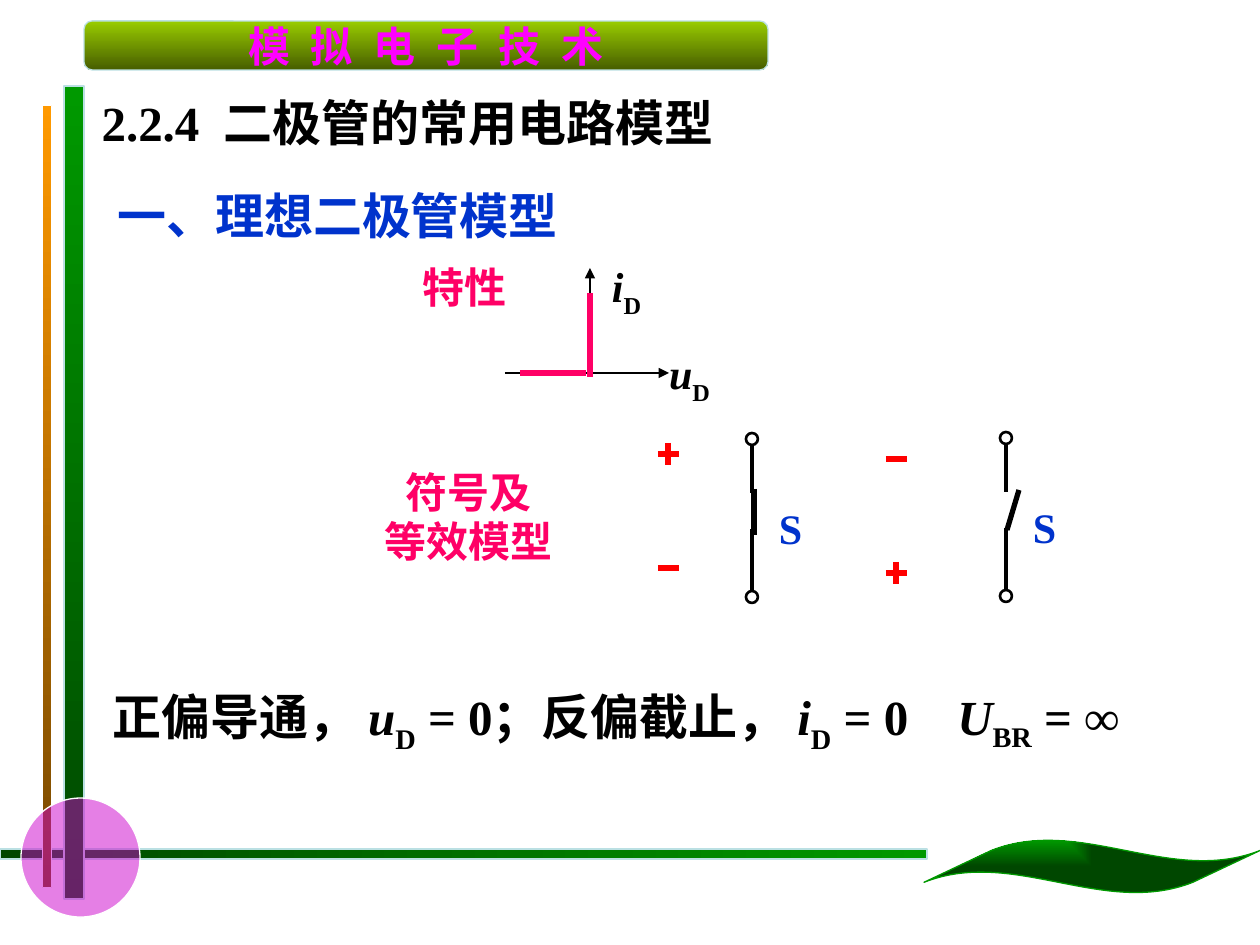
import pptx
import pptx.dml.color
import pptx.enum.dml
import pptx.enum.shapes
import pptx.enum.text
import pptx.oxml
import pptx.oxml.ns
import pptx.util

SCALE = 914400 / 126  # EMU in one px
SHAPES = pptx.enum.shapes.MSO_SHAPE
ALIGN = pptx.enum.text.PP_ALIGN
ANCHOR = pptx.enum.text.MSO_ANCHOR

BLACK, BLUE, PINK, RED = "000000", "0033CC", "FF0066", "FF0000"
GREEN, DARK_GREEN, PALE, WHITE = "009900", "004700", "BBE0E3", "FFFFFF"


def px(length):
    return pptx.util.Emu(round(length * SCALE))


def rgb(value):
    return pptx.dml.color.RGBColor.from_string(value)


def add_xml(parent, tag, **attributes):
    child = pptx.oxml.parse_xml(f"<a:{tag} {pptx.oxml.ns.nsdecls('a')}/>")
    for name, value in attributes.items():
        child.set(name, str(value))
    parent.append(child)
    return child


def add_run(paragraph, text, size=24, color=BLACK, font="Times New Roman",
            italic=False, baseline=0, spacing=0):
    run = paragraph.add_run()
    run.text = text
    run.font.name = font
    run.font.size = pptx.util.Pt(size)
    run.font.bold = True
    run.font.italic = italic
    run.font.color.rgb = rgb(color)
    properties = run.font._element
    if baseline:
        properties.set("baseline", str(baseline * 1000))
    if spacing:
        properties.set("spc", str(round(spacing * 100)))
    add_xml(properties, "ea", typeface="Noto Sans CJK SC")


class SlideBuilder:
    def __init__(self, slide, line_width=2.25):
        self.slide = slide
        self.line_width = line_width

    def shape(self, kind, x, y, w, h, line=BLACK, width=0.75):
        shape = self.slide.shapes.add_shape(kind, px(x), px(y), px(w), px(h))
        shape.shadow.inherit = False
        shape.fill.background()
        shape.line.color.rgb = rgb(line)
        shape.line.width = pptx.util.Pt(width)
        return shape

    def gradient(self, shape, start, end, angle=0):
        shape.fill.gradient()
        shape.fill.gradient_angle = angle
        for stop, color in zip(shape.fill.gradient_stops, (start, end)):
            stop.color.rgb = rgb(color)

    def line(self, x1, y1, x2, y2, color=BLACK, width=None, arrow=False):
        line = self.slide.shapes.add_connector(
            pptx.enum.shapes.MSO_CONNECTOR.STRAIGHT, px(x1), px(y1), px(x2), px(y2))
        line.line.color.rgb = rgb(color)
        line.line.width = pptx.util.Pt(width or self.line_width)
        if arrow:
            add_xml(line.line._get_or_add_ln(), "tailEnd", type="triangle")
        add_xml(line._element.spPr, "effectLst")

    def fill_text(self, box, paragraphs, align=ALIGN.LEFT, anchor=ANCHOR.MIDDLE,
                  wrap=True, leading=None):
        """Each paragraph is a list of (text, format) runs."""
        frame = box.text_frame
        frame.auto_size = pptx.enum.text.MSO_AUTO_SIZE.NONE
        frame.word_wrap = wrap
        frame.vertical_anchor = anchor
        for index, runs in enumerate(paragraphs):
            paragraph = frame.add_paragraph() if index else frame.paragraphs[0]
            paragraph.alignment = align
            if leading:
                paragraph.line_spacing = pptx.util.Pt(leading)
            for text, style in runs:
                add_run(paragraph, text, **style)

    def title(self, x, y, w, h, runs):
        title = self.slide.shapes.title
        title.left, title.top, title.width, title.height = map(px, (x, y, w, h))
        self.fill_text(title, [runs])

    def text(self, x, y, w, h, paragraphs, **layout):
        box = self.slide.shapes.add_textbox(px(x), px(y), px(w), px(h))
        self.fill_text(box, paragraphs, **layout)

    def label(self, x, y, w, runs):
        self.text(x, y, w, 63, [runs], align=ALIGN.CENTER, anchor=ANCHOR.TOP, wrap=False)

    def sign(self, x, y, plus):
        self.line(x - 10, y, x + 11, y, RED, 3)
        if plus:
            self.line(x, y - 11, x, y + 11, RED, 3)

    def switch(self, x, y, blade):
        """x is the wire, y the top; the blade is given from that point."""
        for terminal in (y, y + 158):
            self.shape(SHAPES.OVAL, x - 6, terminal, 12, 12, width=1.5)
        self.line(x, y + 12, x, y + 60)
        self.line(x, y + 96, x, y + 158)
        x1, y1, x2, y2 = blade
        self.line(x + x1, y + y1, x + x2, y + y2, width=3)
        self.label(x + 14, y + 63, 49, [("S", {"color": BLUE})])


def quantity(symbol, subscript, size=24, drop=-30):
    return [(symbol, {"size": size, "italic": True}),
            (subscript, {"size": size, "baseline": drop})]


def add_frame(page):
    # Bars, circle, course banner and leaf around the page
    bars = [
        (0, 849, 927, 10, DARK_GREEN, GREEN, 0, PALE, 0.75),
        (64, 86, 20, 813, GREEN, DARK_GREEN, 270, PALE, 0.75),
        (42, 105, 10, 783, "FF9900", "764700", 270, WHITE, 0.5),
    ]
    for x, y, w, h, start, end, angle, line, width in bars:
        bar = page.shape(SHAPES.RECTANGLE, x, y, w, h, line, width)
        page.gradient(bar, start, end, angle)

    circle = page.shape(SHAPES.OVAL, 21, 798, 119, 119, WHITE)
    circle.fill.solid()
    circle.fill.fore_color.rgb = rgb("CC00CC")
    tint = circle._element.spPr.find(".//" + pptx.oxml.ns.qn("a:srgbClr"))
    add_xml(tint, "alpha", val=50000)

    banner = page.shape(SHAPES.FLOWCHART_ALTERNATE_PROCESS, 84, 21, 684, 49, PALE)
    page.gradient(banner, "99CC00", "475E00", 270)
    course = {"color": "FF00FF", "font": "Noto Sans CJK SC", "spacing": 3.2}
    page.fill_text(banner, [[("模 拟 电 子 技 术", course)]], align=ALIGN.CENTER, wrap=False)

    leaf = page.shape(SHAPES.WAVE, 924, 840, 336, 53, GREEN)
    leaf.adjustments[0], leaf.adjustments[1] = 0.206, -0.1
    page.gradient(leaf, GREEN, DARK_GREEN)
    gradient = leaf._element.spPr.find(pptx.oxml.ns.qn("a:gradFill"))
    gradient.remove(gradient.find(pptx.oxml.ns.qn("a:lin")))
    corner = add_xml(gradient, "path", path="rect")
    add_xml(corner, "fillToRect", r=100000, b=100000)


def main():
    deck = pptx.Presentation()
    deck.slide_width, deck.slide_height = px(1260), px(945)
    page = SlideBuilder(deck.slides.add_slide(deck.slide_layouts[5]))
    add_frame(page)

    # Headings
    large = {"size": 28}
    page.title(89, 86, 1048, 72, [
        ("2.2.4", large), (" ", {"size": 28, "spacing": 7}), ("二极管的常用电路模型", large)])
    page.text(105, 179, 546, 72, [[("一、理想二极管模型", {"size": 28, "color": BLUE})]])

    # Ideal characteristic
    pink = {"color": PINK}
    page.text(410, 255, 181, 63, [[("特性", pink)]])
    page.line(505, 373, 669, 373, width=1.5, arrow=True)
    page.line(590, 373, 590, 268, width=1.5, arrow=True)
    page.label(655, 341, 69, quantity("u", "D"))
    page.label(598, 254, 57, quantity("i", "D"))
    page.line(520, 373, 586, 373, PINK, 3)
    page.line(590, 377, 590, 293, PINK, 3)

    # Equivalent switches: closed under forward bias, open under reverse bias
    page.text(357, 465, 224, 103, [[("符号及", pink)], [("等效模型", pink)]],
              align=ALIGN.CENTER, leading=28)
    page.sign(668, 454, plus=True)
    page.sign(668, 568, plus=False)
    page.switch(752, 433, blade=(2, 56, 2, 102))
    page.sign(896, 459, plus=False)
    page.sign(896, 573, plus=True)
    page.switch(1006, 432, blade=(13, 58, 1, 98))

    # Conclusion
    page.text(100, 688, 1077, 66, [[
        ("正偏导通， ", large), *quantity("u", "D", 28),
        (" = 0；反偏截止， ", large), *quantity("i", "D", 28),
        (" = 0", large), (" ", {"size": 28, "spacing": 21}),
        *quantity("U", "BR", 28, -25), (" = ∞", large)]])

    deck.save("out.pptx")


if __name__ == "__main__":
    main()
